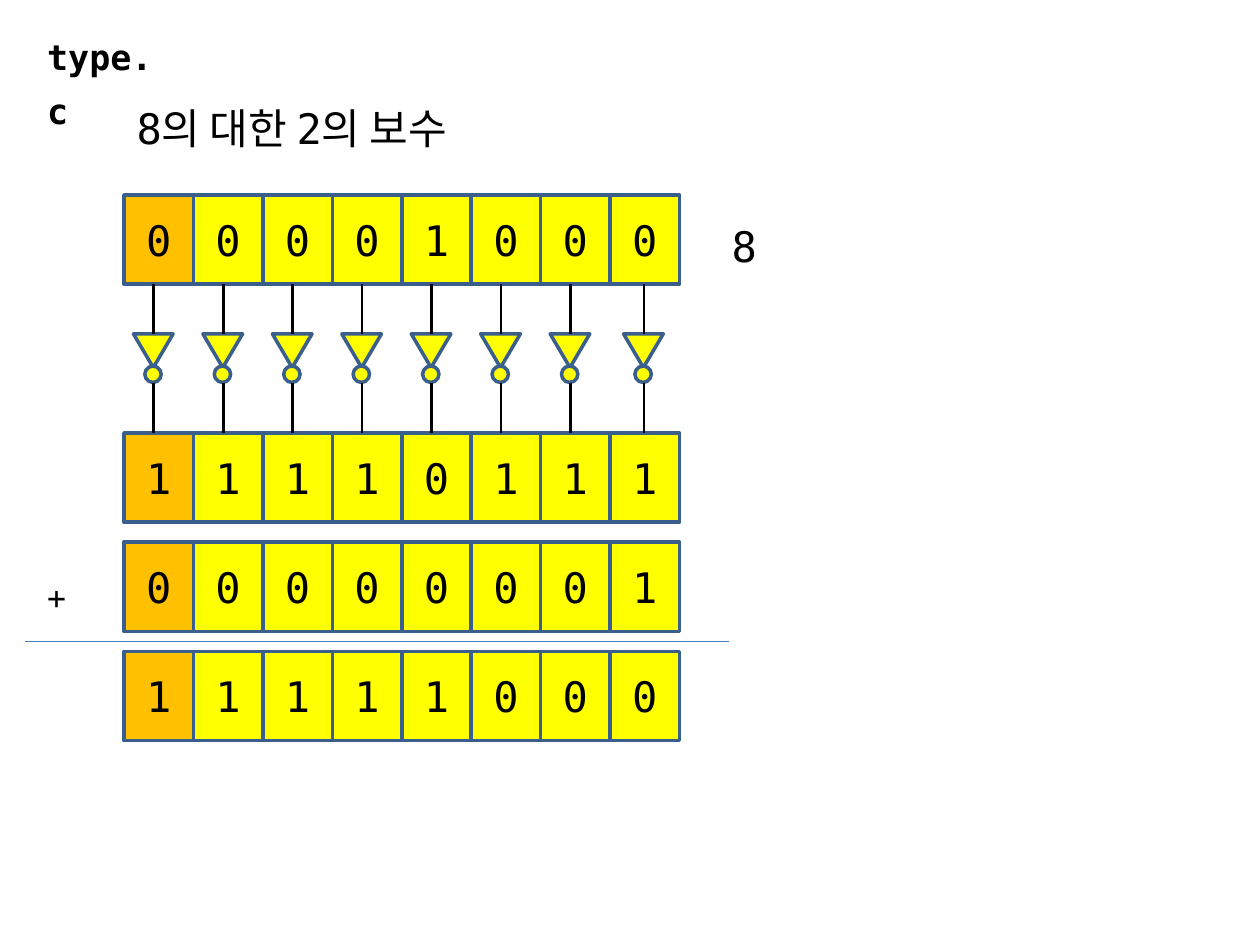
from lxml.etree import SubElement
from pptx import Presentation
from pptx.dml.color import RGBColor
from pptx.enum.shapes import MSO_CONNECTOR, MSO_SHAPE
from pptx.enum.text import MSO_ANCHOR, MSO_AUTO_SIZE, PP_ALIGN
from pptx.oxml.ns import qn
from pptx.util import Cm, Pt

FONT = "DejaVu Sans Mono"
YELLOW, ORANGE, BLUE, BLACK = "FFFF00", "FFC000", "3A5F8C", "000000"
LEFT, PITCH, CELL_H = 2.5, 1.4, 1.8
BIT_ROWS = [
    (3.93, "00001000"),
    (8.73, "11110111"),
    (10.93, "00000001"),
    (13.13, "11111000"),
]


def color(value):
    return RGBColor.from_string(value)


def write(sp, text, size, bold=False, align=PP_ALIGN.LEFT, anchor=MSO_ANCHOR.TOP):
    tf = sp.text_frame
    tf.word_wrap = True
    tf.auto_size = MSO_AUTO_SIZE.NONE
    tf.vertical_anchor = anchor
    p = tf.paragraphs[0]
    p.text = text
    p.alignment = align
    p.font.name = FONT
    p.font.size = Pt(size)
    p.font.bold = bold
    p.font.color.rgb = color(BLACK)
    return p


def add_title(s, text):
    sp = s.shapes.title
    sp.left, sp.top, sp.width, sp.height = Cm(2.5), Cm(1.93), Cm(8), Cm(1.28)
    write(sp, text, 24)


def add_label(s, x, y, w, h, text, size, bold=False):
    sp = s.shapes.add_textbox(Cm(x), Cm(y), Cm(w), Cm(h))
    return write(sp, text, size, bold)


def add_box(shapes, kind, x, y, w, h, fill=YELLOW):
    sp = shapes.add_shape(kind, Cm(x), Cm(y), Cm(w), Cm(h))
    sp.shadow.inherit = False
    sp.fill.solid()
    sp.fill.fore_color.rgb = color(fill)
    sp.line.color.rgb = color(BLUE)
    sp.line.width = Pt(2)
    return sp


def add_line(shapes, x1, y1, x2, y2, line_color, width):
    ln = shapes.add_connector(MSO_CONNECTOR.STRAIGHT, Cm(x1), Cm(y1), Cm(x2), Cm(y2))
    ln.line.color.rgb = color(line_color)
    ln.line.width = Pt(width)
    SubElement(ln._element.spPr, qn("a:effectLst"))


def add_bit_row(s, y, bits):
    for i, bit in enumerate(bits):
        fill = ORANGE if i == 0 else YELLOW
        sp = add_box(s.shapes, MSO_SHAPE.RECTANGLE, LEFT + i * PITCH, y, PITCH, CELL_H, fill)
        write(sp, bit, 24, align=PP_ALIGN.CENTER, anchor=MSO_ANCHOR.MIDDLE)


def add_not_gate(s, x):
    shapes = s.shapes.add_group_shape().shapes
    triangle = add_box(shapes, MSO_SHAPE.ISOSCELES_TRIANGLE, x - 0.41, 6.73, 0.8, 0.68)
    triangle.rotation = 180
    add_box(shapes, MSO_SHAPE.OVAL, x - 0.18, 7.38, 0.33, 0.33)
    for top in (5.73, 7.73):
        add_line(shapes, x, top, x, top + 1, BLACK, 1.5)


def main():
    prs = Presentation()
    prs.slide_width, prs.slide_height = Cm(25.4), Cm(19.05)
    s = prs.slides.add_slide(prs.slide_layouts[5])
    add_title(s, "8의 대한 2의 보수")
    p = add_label(s, 0.7, 0.33, 2.87, 1.28, "type.c", 20, bold=True)
    p.line_spacing = 1.3
    add_label(s, 14.5, 4.32, 1, 1.28, "8", 24)
    add_label(s, 0.7, 11.53, 0.9, 1.03, "+", 18)
    for y, bits in BIT_ROWS:
        add_bit_row(s, y, bits)
    for i in range(8):
        nudge = 0.08 if i == 7 else 0
        add_not_gate(s, 3.1 + i * PITCH + nudge)
    add_line(s.shapes, 0.5, 12.93, 14.7, 12.93, "4B7EBC", 0.75)
    prs.save("out.pptx")


if __name__ == "__main__":
    main()
